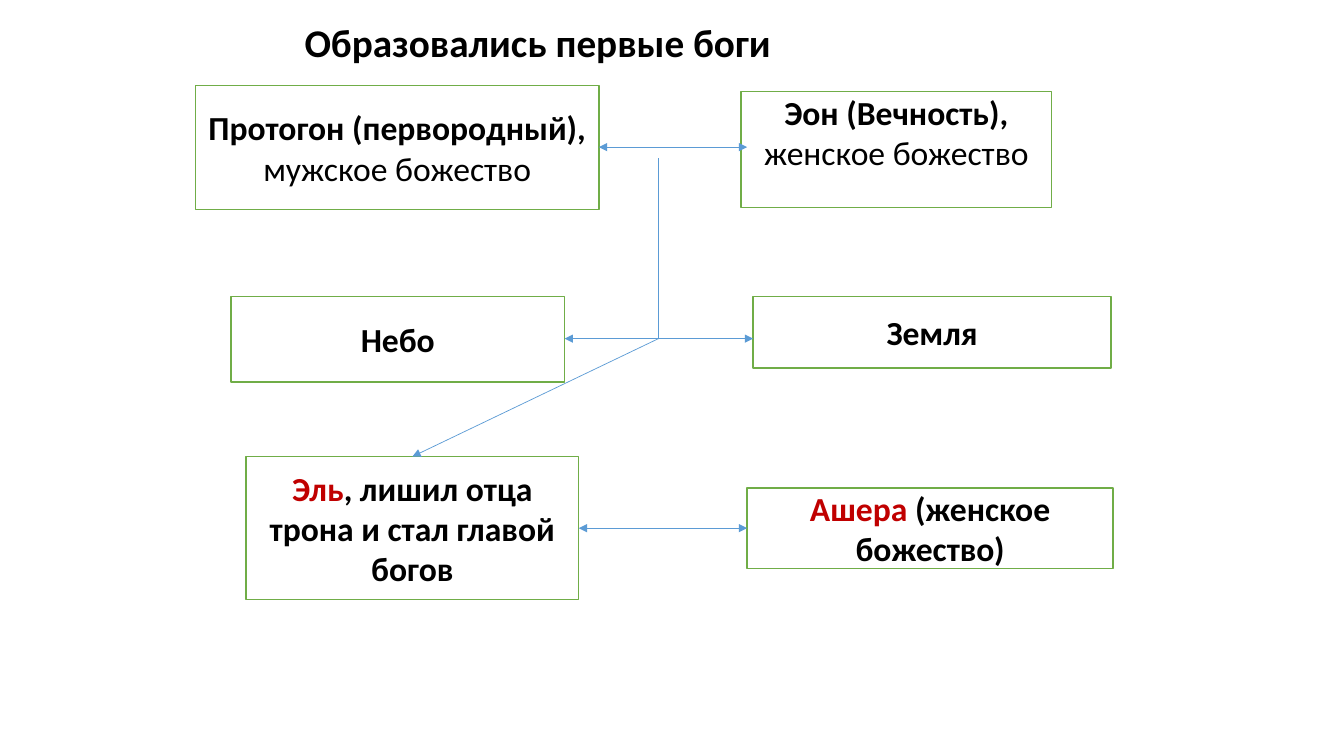
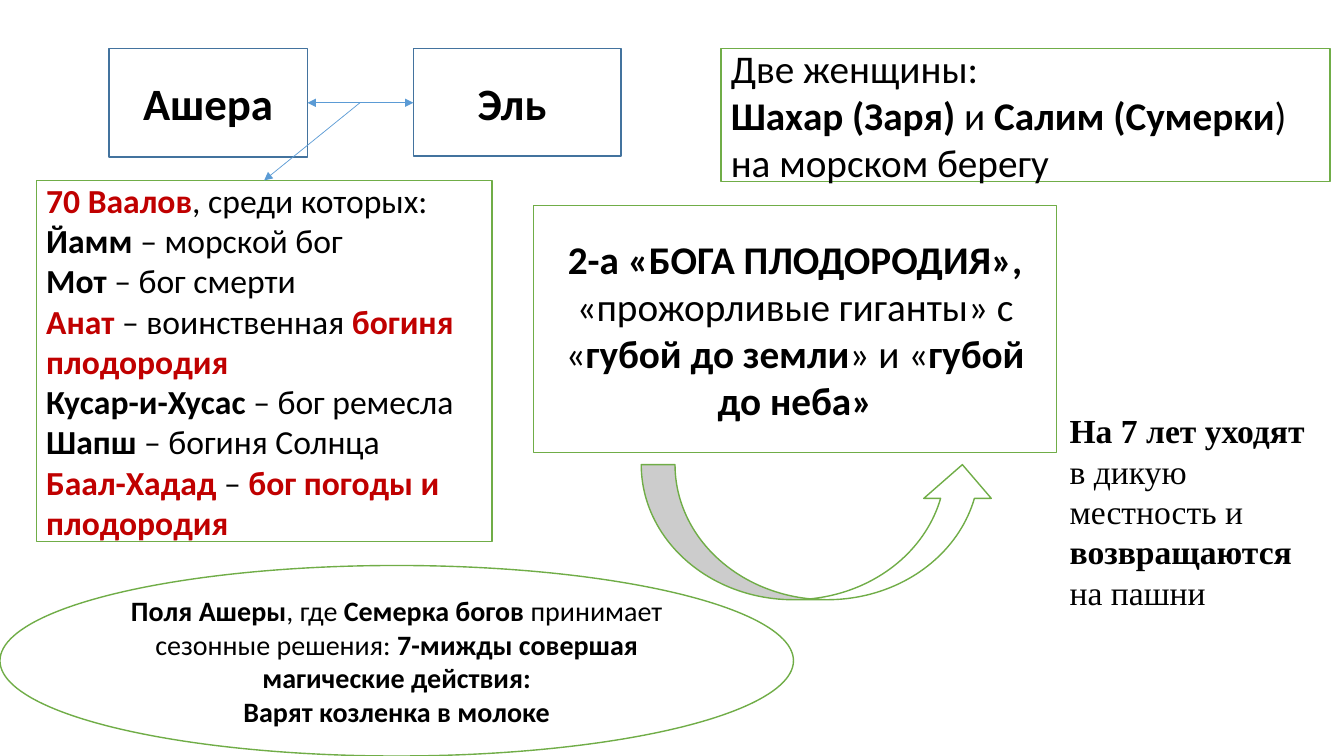
import pptx
import pptx.dml.color
import pptx.enum.shapes
import pptx.enum.text
import pptx.oxml.ns
import pptx.util
from lxml import etree

Inches = pptx.util.Inches
Pt = pptx.util.Pt
RGBColor = pptx.dml.color.RGBColor
Shape = pptx.enum.shapes.MSO_SHAPE
Align = pptx.enum.text.PP_ALIGN
Anchor = pptx.enum.text.MSO_ANCHOR

WHITE = RGBColor(0xFF, 0xFF, 0xFF)
BLACK = RGBColor(0x00, 0x00, 0x00)
RED = RGBColor(0xC0, 0x00, 0x00)
GREEN = RGBColor(0x70, 0xAD, 0x47)
BLUE = RGBColor(0x5B, 0x9B, 0xD5)
DARK_BLUE = RGBColor(0x43, 0x73, 0x9E)

TITLE_ONLY, BLANK = 5, 6


def plain(text):
    return text, False, BLACK


def bold(text):
    return text, True, BLACK


def red(text):
    return text, True, RED


def write_text(shape, paragraphs, size=24, font="Calibri", align=Align.CENTER,
               anchor=Anchor.MIDDLE, top_inset=0.05):
    """Fill a shape with paragraphs, each a list of (text, bold, colour) spans."""
    frame = shape.text_frame
    frame.word_wrap = True
    frame.vertical_anchor = anchor
    frame.margin_top = Inches(top_inset)
    for index, spans in enumerate(paragraphs):
        para = frame.add_paragraph() if index else frame.paragraphs[0]
        para.alignment = align
        for text, is_bold, color in spans:
            span = para.add_run()
            span.text = text
            span.font.name = font
            span.font.size = Pt(size)
            span.font.bold = is_bold
            span.font.color.rgb = color


def add_box(page, place, paragraphs=(), kind=Shape.RECTANGLE, outline=GREEN, **text_format):
    box = page.shapes.add_shape(kind, *map(Inches, place))
    box.shadow.inherit = False
    box.fill.solid()
    box.fill.fore_color.rgb = WHITE
    box.line.color.rgb = outline
    box.line.width = Pt(1)
    write_text(box, paragraphs, **text_format)


def add_line(page, start, end, arrows=()):
    """Draw a thin line; arrows names the ends to point: headEnd, tailEnd."""
    line = page.shapes.add_connector(
        pptx.enum.shapes.MSO_CONNECTOR.STRAIGHT, *map(Inches, start + end))
    line.line.color.rgb = BLUE
    line.line.width = Pt(0.5)
    outline = line.line._get_or_add_ln()
    for arrow in arrows:
        etree.SubElement(outline, pptx.oxml.ns.qn("a:" + arrow), type="triangle")
    etree.SubElement(line._element.spPr, pptx.oxml.ns.qn("a:effectLst"))


def add_pair_arrow(page, left, right, y):
    add_line(page, (left, y), (right, y), ("headEnd", "tailEnd"))


def set_title(page, place, text):
    title = page.shapes.title
    title.left, title.top, title.width, title.height = map(Inches, place)
    write_text(title, [[bold(text)]], size=28, align=Align.LEFT, anchor=Anchor.TOP)


def build_first_gods(deck):
    page = deck.slides.add_slide(deck.slide_layouts[TITLE_ONLY])
    set_title(page, (2.92, 0.13, 5.77, 0.57), "Образовались первые боги")

    add_box(page, (7.35, 0.91, 3.08, 1.15),
            [[bold("Эон (Вечность), "), plain("женское божество")]],
            anchor=Anchor.TOP, top_inset=0)
    gods = [
        ((1.94, 0.85, 4, 1.23),
         [bold("Протогон (первородный), "), plain("мужское божество")]),
        ((2.29, 2.94, 3.31, 0.85), [bold("Небо")]),
        ((7.47, 2.94, 3.55, 0.71), [bold("Земля")]),
        ((2.44, 4.53, 3.3, 1.42),
         [red("Эль"), bold(", лишил отца трона и стал главой богов")]),
        ((7.41, 4.84, 3.63, 0.8), [red("Ашера "), bold("(женское божество)")]),
    ]
    for place, spans in gods:
        add_box(page, place, [spans])

    for left, right, y in [(5.94, 7.41, 1.46), (5.6, 7.47, 3.36), (5.74, 7.41, 5.24)]:
        add_pair_arrow(page, left, right, y)
    fork = (6.53, 3.36)
    add_line(page, (6.53, 1.57), fork)
    add_line(page, fork, (4.09, 4.53), ("tailEnd",))


def build_children(deck):
    page = deck.slides.add_slide(deck.slide_layouts[BLANK])
    add_box(page, (1.08, 0.48, 1.97, 1.08), [[bold("Ашера")]], outline=DARK_BLUE, size=32)
    add_box(page, (4.1, 0.48, 2.06, 1.07), [[bold("Эль ")]], outline=DARK_BLUE, size=32)
    add_pair_arrow(page, 3.05, 4.1, 1.02)

    add_box(page, (0.36, 1.79, 4.52, 3.58), [
        [red("70 Ваалов"), plain(", среди которых:")],
        [bold("Йамм"), plain(" – морской бог")],
        [bold("Мот "), plain("– бог смерти")],
        [red("Анат "), plain("– воинственная "), red("богиня плодородия")],
        [bold("Кусар-и-Хусас "), plain("– бог ремесла")],
        [bold("Шапш"), plain(" – богиня Солнца")],
        [red("Баал-Хадад"), plain(" – "), red("бог погоды и плодородия")],
    ], align=Align.LEFT)
    add_line(page, (3.57, 1.02), (2.62, 1.79), ("tailEnd",))

    add_box(page, (0, 5.61, 7.87, 1.89), [
        [bold("Поля Ашеры"), plain(", где "), bold("Семерка богов "),
         plain("принимает сезонные решения: "),
         bold("7-мижды совершая магические действия:")],
        [bold("Варят козленка в молоке")],
    ], kind=Shape.OVAL, size=20)
    add_box(page, (7.15, 0.48, 6.04, 1.32), [
        [plain("Две женщины:")],
        [bold("Шахар (Заря)"), plain(" и "), bold("Салим (Сумерки"),
         plain(") на морском берегу")],
    ], size=28, align=Align.LEFT)
    add_box(page, (5.29, 2.04, 5.19, 2.45), [
        [bold("2-а «БОГА ПЛОДОРОДИЯ», "), plain("«прожорливые гиганты» с «"),
         bold("губой до земли"), plain("» и «"), bold("губой до неба»")],
    ], size=28)
    add_box(page, (6.36, 4.61, 3.52, 1.34), kind=Shape.CURVED_UP_ARROW)

    note = page.shapes.add_textbox(*map(Inches, (10.51, 4.02, 2.69, 2.12)))
    write_text(note, [
        [bold("На 7 лет уходят"), plain(" в дикую местность и "),
         bold("возвращаются"), plain(" на пашни")],
    ], font="Times New Roman", align=Align.LEFT, anchor=Anchor.TOP)


def main():
    deck = pptx.Presentation()
    deck.slide_width = Inches(13.33)
    deck.slide_height = Inches(7.5)
    build_first_gods(deck)
    build_children(deck)
    deck.save("out.pptx")


if __name__ == "__main__":
    main()
